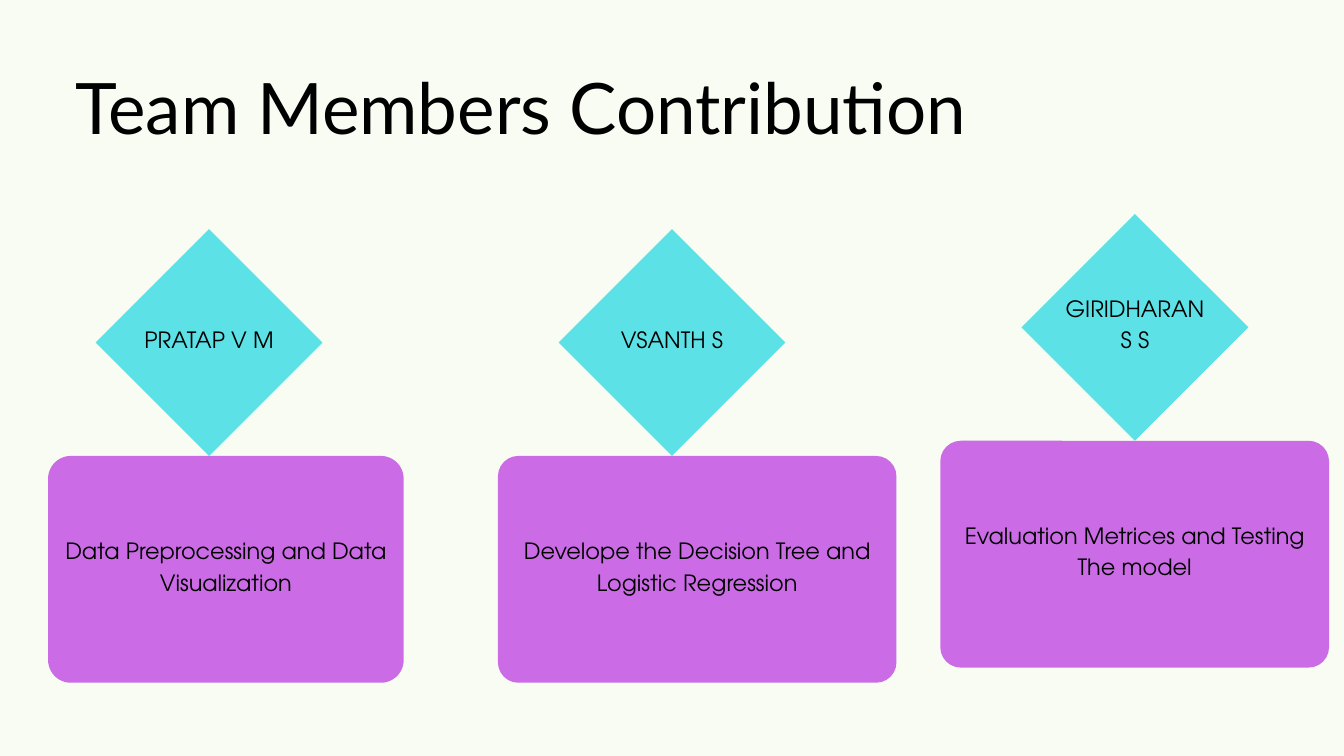
from dataclasses import dataclass

from pptx import Presentation
from pptx.dml.color import RGBColor
from pptx.enum import shapes, text
from pptx.util import Pt


@dataclass(frozen=True)
class Theme:
    background: str = "F9FCF3"
    diamond: str = "5CE1E6"
    card: str = "CB6CE6"
    ink: str = "000000"
    title_font: str = "Lato"
    body_font: str = "TeX Gyre Adventor"
    title_size: float = 76
    body_size: float = 24
    title_leading: float = 91.2
    body_leading: float = 33.6


THEME = Theme()
SIDE = 243  # diamond width and height, and card height
FIRST_CENTER, CENTER_STEP = 224, 496

# name, top of the diamond, card left, card width, corner ratio, contribution
MEMBERS = [
    ("PRATAP V M", 245.5, 51.5, 381, 0.1,
     ["Data Preprocessing and Data Visualization"]),
    ("VSANTH S", 245.5, 533.5, 427, 0.09,
     ["Develope the Decision Tree and Logistic Regression"]),
    ("GIRIDHARAN S S", 229.25, 1007.5, 416.5, 0.09,
     ["Evaluation Metrices and Testing", "The model"]),
]


def write_text(frame, lines, margin, anchor, align, leading, font_name, size):
    frame_format = {
        "word_wrap": True, "auto_size": text.MSO_AUTO_SIZE.NONE,
        "vertical_anchor": anchor,
        "margin_left": Pt(margin), "margin_right": Pt(margin),
        "margin_top": Pt(margin), "margin_bottom": Pt(margin),
    }
    for name, value in frame_format.items():
        setattr(frame, name, value)
    frame.text = "\n".join(lines)
    paragraph_format = {"alignment": align, "line_spacing": Pt(leading),
                        "space_before": Pt(0), "space_after": Pt(0)}
    font_format = {"name": font_name, "size": Pt(size), "bold": False}
    for paragraph in frame.paragraphs:
        for name, value in paragraph_format.items():
            setattr(paragraph, name, value)
        for run in paragraph.runs:
            for name, value in font_format.items():
                setattr(run.font, name, value)
            run.font.color.rgb = RGBColor.from_string(THEME.ink)


def add_block(slide, kind, box, color):
    shape = slide.shapes.add_shape(kind, *map(Pt, box))
    shape.shadow.inherit = False
    shape.fill.solid()
    shape.fill.fore_color.rgb = RGBColor.from_string(color)
    shape.line.fill.background()
    return shape


def add_label(slide, box, lines):
    label = slide.shapes.add_textbox(*map(Pt, box))
    write_text(label.text_frame, lines, 4, text.MSO_ANCHOR.MIDDLE,
               text.PP_ALIGN.CENTER, THEME.body_leading,
               THEME.body_font, THEME.body_size)


def add_name_diamond(slide, box, name):
    left, top, width, height = box
    add_block(slide, shapes.MSO_SHAPE.DIAMOND, box, THEME.diamond)
    add_label(slide, (left + 42, top + 30.5, width - 84, height - 72.5), [name])


def add_contribution_card(slide, box, corner, lines):
    left, top, width, height = box
    card = add_block(slide, shapes.MSO_SHAPE.ROUNDED_RECTANGLE, box, THEME.card)
    card.adjustments[0] = corner
    add_label(slide, (left, top - 11, width, height + 11), lines)


def add_title(slide, box):
    title = slide.shapes.title
    title.left, title.top, title.width, title.height = map(Pt, box)
    write_text(title.text_frame, ["Team Members Contribution"], 0,
               text.MSO_ANCHOR.TOP, text.PP_ALIGN.LEFT, THEME.title_leading,
               THEME.title_font, THEME.title_size)


def main():
    presentation = Presentation()
    presentation.slide_width, presentation.slide_height = Pt(1440), Pt(810)
    slide = presentation.slides.add_slide(presentation.slide_layouts[5])
    slide.background.fill.solid()
    slide.background.fill.fore_color.rgb = RGBColor.from_string(THEME.background)

    add_title(slide, (80.5, 68.5, 994.5, 103))
    for index, (name, top, left, width, corner, lines) in enumerate(MEMBERS):
        center = FIRST_CENTER + index * CENTER_STEP
        add_name_diamond(slide, (center - SIDE / 2, top, SIDE, SIDE), name)
        add_contribution_card(slide, (left, top + SIDE, width, SIDE), corner, lines)
    presentation.save("out.pptx")


if __name__ == "__main__":
    main()
